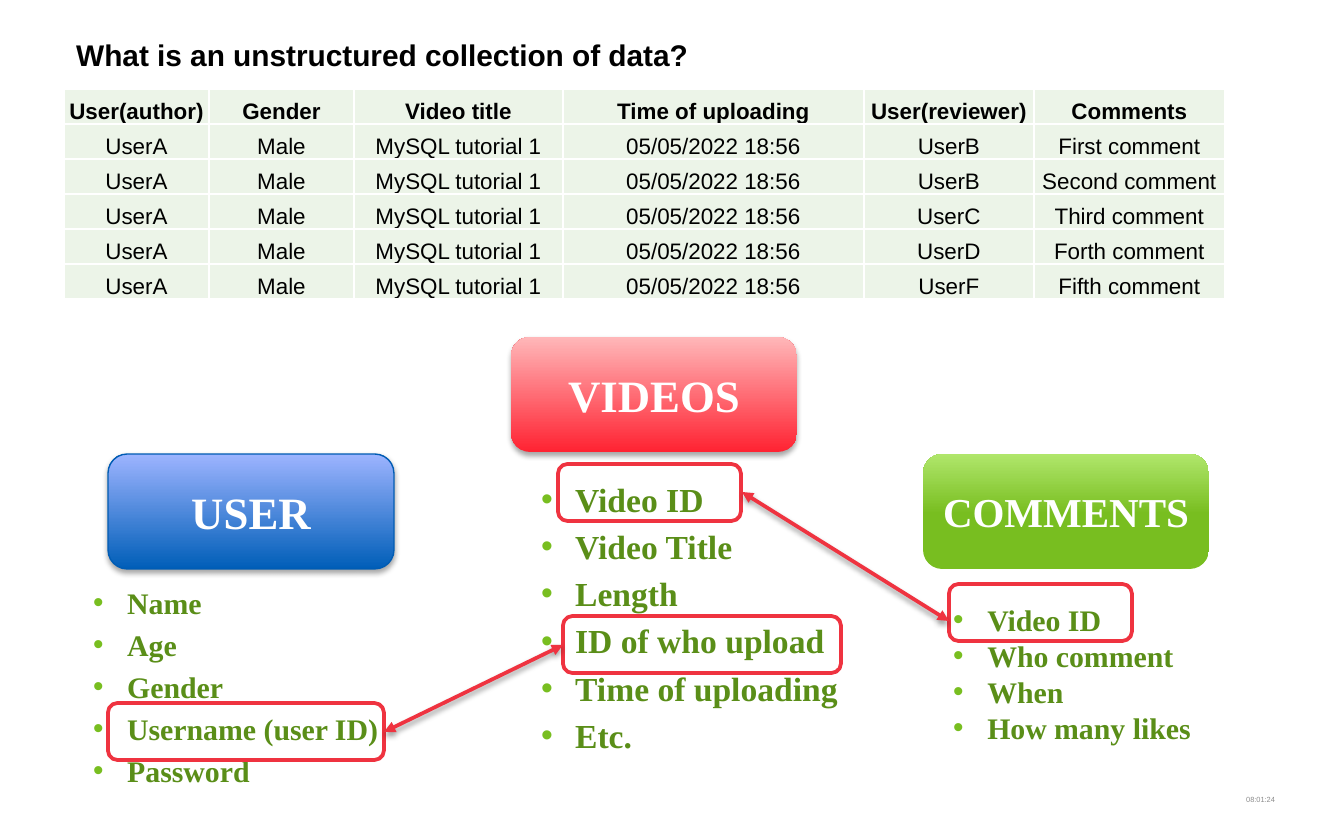
from dataclasses import dataclass

from lxml import etree
from pptx import Presentation
from pptx.dml.color import RGBColor
from pptx.enum.shapes import MSO_CONNECTOR, MSO_SHAPE
from pptx.enum.text import MSO_ANCHOR, PP_ALIGN
from pptx.oxml.ns import qn
from pptx.util import Emu, Pt

ROUNDED = MSO_SHAPE.ROUNDED_RECTANGLE
STRAIGHT = MSO_CONNECTOR.STRAIGHT
MIDDLE, BOTTOM = MSO_ANCHOR.MIDDLE, MSO_ANCHOR.BOTTOM
LEFT, CENTER, RIGHT = PP_ALIGN.LEFT, PP_ALIGN.CENTER, PP_ALIGN.RIGHT
EMU_PER_PX = 914400 / 134.4


@dataclass(frozen=True)
class Theme:
    sans: str = "Arial"
    serif: str = "Times New Roman"
    black: str = "000000"
    white: str = "FFFFFF"
    gray: str = "8C8C8C"
    cell: str = "ECF4E8"
    list_text: str = "5A8E18"
    bullet: str = "78BE20"
    accent: str = "EF3340"
    user_line: str = "005CB4"
    user_stops: tuple = ((0, "005EB8"), (100, "9DB4FF"))
    videos_stops: tuple = ((0, "FF2332"), (100, "FFB7B9"))
    comments_stops: tuple = ((0, "78BE20"), (48, "78BE20"), (100, "B0E66B"))
    title_size: int = 16
    table_size: int = 12
    clock_size: int = 4
    line_ratio: float = 1.205
    gap_ratio: float = 0.2


THEME = Theme()


def px(value):
    return Emu(round(value * EMU_PER_PX))


def place(*lengths):
    return [px(length) for length in lengths]


def color(value):
    return RGBColor.from_string(value)


def add_node(parent, tag, **attributes):
    return etree.SubElement(parent, qn(tag), **attributes)


def style_para(para, font_name, size, font_color, bold=False, align=LEFT):
    para.alignment = align
    for span in para.runs:
        span.font.name = font_name
        span.font.size = Pt(size)
        span.font.bold = bold
        span.font.color.rgb = color(font_color)


def set_shadow(item, opacity=0):
    properties = item._element.spPr
    effects = properties.find(qn("a:effectLst"))
    if effects is None:
        effects = add_node(properties, "a:effectLst")
    if opacity:
        shadow = add_node(effects, "a:outerShdw", blurRad=str(Pt(3.1)), dist=str(Pt(1.8)),
                          dir="5400000", rotWithShape="0")
        tint = add_node(shadow, "a:srgbClr", val=THEME.black)
        add_node(tint, "a:alpha", val=str(opacity * 1000))


def add_text(page, frame, text, font_name, size, font_color, bold=False, align=LEFT):
    box = page.shapes.add_textbox(*place(*frame))
    box.text_frame.word_wrap = True
    box.text_frame.text = text
    style_para(box.text_frame.paragraphs[0], font_name, size, font_color, bold, align)
    return box


def add_clock(page):
    box = add_text(page, (743, 789, 532, 23), "08:01:24", THEME.sans,
                   THEME.clock_size, THEME.gray, align=RIGHT)
    box.text_frame.vertical_anchor = MIDDLE
    box.text_frame.margin_right = 0
    para = box.text_frame.paragraphs[0]
    para.line_spacing = 0.9
    para.space_after = Pt(6)


def style_cell(cell, text, bold):
    cell.text = text
    cell.margin_left = cell.margin_right = cell.margin_top = cell.margin_bottom = 0
    cell.vertical_anchor = BOTTOM
    style_para(cell.text_frame.paragraphs[0], THEME.sans, THEME.table_size,
               THEME.black, bold, CENTER)
    properties = cell._tc.get_or_add_tcPr()
    for side in ("a:lnL", "a:lnR", "a:lnT", "a:lnB"):
        border = add_node(properties, side, w=str(Pt(1)))
        add_node(add_node(border, "a:solidFill"), "a:srgbClr", val=THEME.white)
    cell.fill.solid()
    cell.fill.fore_color.rgb = color(THEME.cell)


def add_data_table(page):
    reviews = (("UserB", "First comment"), ("UserB", "Second comment"),
               ("UserC", "Third comment"), ("UserD", "Forth comment"),
               ("UserF", "Fifth comment"))
    rows = [("User(author)", "Gender", "Video title", "Time of uploading",
             "User(reviewer)", "Comments")]
    rows += [("UserA", "Male", "MySQL tutorial 1", "05/05/2022 18:56", *review)
             for review in reviews]
    widths = (145, 145, 209, 301, 170, 191)
    row_height = 35
    table = page.shapes.add_table(len(rows), len(widths), *place(
        64, 89, sum(widths), row_height * len(rows))).table
    for column, width in zip(table.columns, widths):
        column.width = px(width)
    for row_index, row in enumerate(rows):
        table.rows[row_index].height = px(row_height)
        for column_index, text in enumerate(row):
            style_cell(table.cell(row_index, column_index), text, row_index == 0)


def add_entity(page, left, top, name, size, stops, line_color=None, opacity=0):
    box = page.shapes.add_shape(ROUNDED, *place(left, top, 286, 115))
    box.fill.gradient()
    box.fill.gradient_angle = 90
    stop_list = box._element.spPr.find(qn("a:gradFill")).find(qn("a:gsLst"))
    stop_list.clear()
    for position, stop_color in stops:
        stop = add_node(stop_list, "a:gs", pos=str(position * 1000))
        add_node(stop, "a:srgbClr", val=stop_color)
    if line_color:
        box.line.color.rgb = color(line_color)
        box.line.width = Pt(0.75)
    else:
        box.line.fill.background()
    box.shadow.inherit = False
    set_shadow(box, opacity)
    box.text_frame.text = name
    box.text_frame.vertical_anchor = MIDDLE
    style_para(box.text_frame.paragraphs[0], THEME.serif, size, THEME.white, True, CENTER)


def add_bullets(page, frame, size, items, spaced=True):
    box = page.shapes.add_textbox(*place(*frame))
    box.text_frame.word_wrap = True
    box.text_frame.text = "\n".join(items)
    for index, para in enumerate(box.text_frame.paragraphs):
        para.line_spacing = Pt(size * THEME.line_ratio)
        if spaced and index:
            para.space_before = Pt(size * THEME.gap_ratio)
        properties = para._p.get_or_add_pPr()
        properties.set("marL", str(px(51)))
        properties.set("indent", str(-px(34)))
        add_node(add_node(properties, "a:buClr"), "a:srgbClr", val=THEME.bullet)
        add_node(properties, "a:buFont", typeface=THEME.sans)
        add_node(properties, "a:buChar", char="•")
        style_para(para, THEME.serif, size, THEME.list_text, True)


def add_highlight(page, left, top, width):
    frame = page.shapes.add_shape(ROUNDED, *place(left, top, width, 57))
    frame.fill.background()
    frame.line.color.rgb = color(THEME.accent)
    frame.line.width = Pt(2)
    frame.shadow.inherit = False


def add_link(page, *ends):
    link = page.shapes.add_connector(STRAIGHT, *place(*ends))
    link.line.color.rgb = color(THEME.accent)
    link.line.width = Pt(2)
    outline = link._element.spPr.find(qn("a:ln"))
    for tag in ("a:headEnd", "a:tailEnd"):
        add_node(outline, tag, type="triangle")
    set_shadow(link, 38)


def main():
    deck = Presentation()
    deck.slide_width, deck.slide_height = place(1344, 840)
    page = deck.slides.add_slide(deck.slide_layouts[6])
    add_data_table(page)
    add_clock(page)
    add_entity(page, 108, 454, "USER", 24, THEME.user_stops, THEME.user_line, 35)
    add_entity(page, 511, 337, "VIDEOS", 24, THEME.videos_stops, opacity=35)
    add_entity(page, 923, 454, "COMMENTS", 22, THEME.comments_stops)
    add_bullets(page, (63, 578, 363, 144), 16,
                ("Name", "Age", "Gender", "Username (user ID)", "Password"))
    add_bullets(page, (511, 472, 349, 302), 18,
                ("Video ID", "Video Title", "Length", "ID of who upload",
                 "Time of uploading", "Etc."))
    add_bullets(page, (923, 595, 317, 194), 16,
                ("Video ID", "Who comment", "When", "How many likes"), spaced=False)
    for left, top, width in ((558, 464, 183), (949, 584, 183),
                             (563, 616, 278), (108, 703, 276)):
        add_highlight(page, left, top, width)
    add_link(page, 563, 645, 384, 732)
    add_link(page, 949, 621, 742, 492)
    add_text(page, (63, 30, 964, 50), "What is an unstructured collection of data?",
             THEME.sans, THEME.title_size, THEME.black, True)
    deck.save("out.pptx")


if __name__ == "__main__":
    main()
